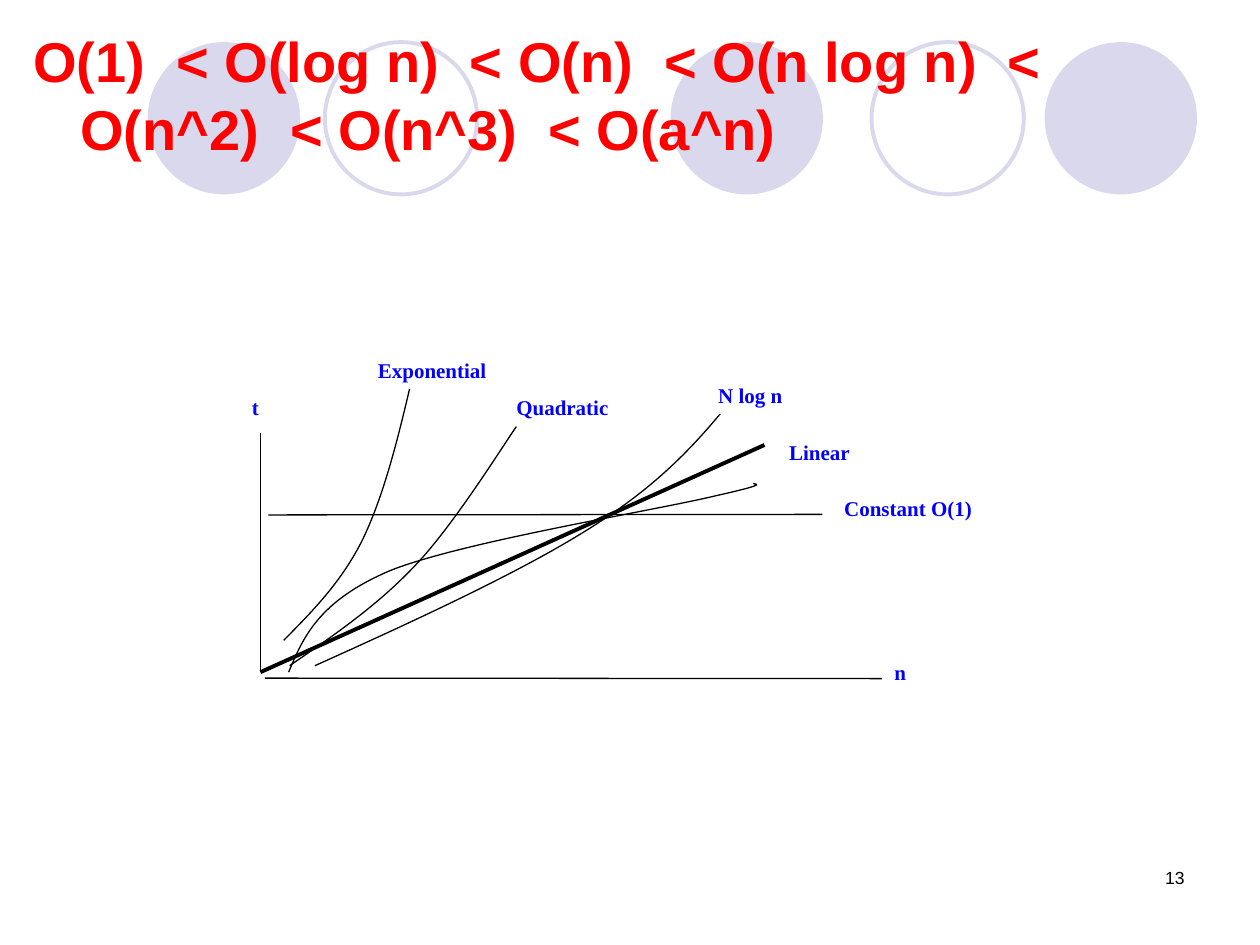
"""Build a slide comparing the growth rates of common complexity classes."""
from lxml.etree import SubElement
from pptx import Presentation
from pptx.dml.color import RGBColor
from pptx.enum.shapes import MSO_CONNECTOR as Connector, MSO_SHAPE as Shape
from pptx.enum.text import PP_ALIGN as Align
from pptx.oxml.ns import qn
from pptx.util import Cm, Pt

COLORS = {"circle": "D9D8EC", "title": "FF0000", "label": "0000FF",
          "ink": "000000", "paper": "FFFFFF"}


def color(name):
    return RGBColor.from_string(COLORS[name])


def add_text(page, text, place, font_name, size, ink, bold=False):
    box = page.shapes.add_textbox(*map(Cm, place))
    box.text_frame.word_wrap = True
    para = box.text_frame.paragraphs[0]
    para.text = text
    para.font.name = font_name
    para.font.size = Pt(size)
    para.font.bold = bold
    para.font.color.rgb = color(ink)
    return box, para


deck = Presentation()
deck.slide_width, deck.slide_height = Cm(25.4), Cm(19.05)
page = deck.slides.add_slide(deck.slide_layouts[6])

circles = [(13.52, True), (21.06, True), (2.98, True), (17.57, False), (6.55, False)]
for left, filled in circles:
    circle = page.shapes.add_shape(Shape.OVAL, Cm(left), Cm(0.85), Cm(3.07), Cm(3.07))
    circle.shadow.inherit = False
    if filled:
        circle.fill.solid()
        circle.fill.fore_color.rgb = color("circle")
        circle.line.fill.background()
    else:
        circle.fill.background()
        circle.line.color.rgb = color("circle")
        circle.line.width = Pt(2.25)

title_text = "O(1)  < O(log n)  < O(n)  < O(n log n)  <  O(n^2)  < O(n^3)  < O(a^n)"
title, para = add_text(page, title_text, (0.42, 0.42, 24.56, 17.98), "Arial", 32, "title", True)
para.space_before = Pt(8)
indent = para._p.get_or_add_pPr()
indent.set("marL", str(Cm(0.95)))
indent.set("indent", str(Cm(-0.95)))

lines = [
    (5.25, 8.72, 5.25, 13.55, 0.75),
    (5.25, 13.55, 15.41, 8.97, 2.25),
    (5.34, 13.67, 17.78, 13.68, 0.75),
    (16.58, 10.37, 5.41, 10.38, 0.75),
]
for *ends, width in lines:
    line = page.shapes.add_connector(Connector.STRAIGHT, *map(Cm, ends))
    line.line.color.rgb = color("ink")
    line.line.width = Pt(width)
    SubElement(line._element.spPr, qn("a:effectLst"))

curves = [
    [(5.84, 13.42), (6.73, 12.81), (7.62, 12.2), (8.38, 11.39),
     (9.14, 10.59), (10.08, 9.08), (10.41, 8.6)],
    [(6.35, 13.42), (8.46, 12.47), (10.54, 11.51), (11.94, 10.62),
     (13.34, 9.73), (14.05, 8.92), (14.73, 8.09)],
    [(5.82, 13.55), (6.12, 12.83), (6.43, 12.12), (7.85, 11.51),
     (9.3, 10.92), (13.23, 10.29), (14.45, 9.99),
     (15.7, 9.71), (15.09, 9.78), (15.21, 9.74)],
    [(5.72, 12.91), (6.3, 12.32), (6.88, 11.74), (7.31, 10.88),
     (7.72, 10.03), (8, 8.94), (8.26, 7.83)],
]
for points in curves:
    start, *controls = [(Cm(x), Cm(y)) for x, y in points]
    builder = page.shapes.build_freeform(*start)
    builder.add_line_segments(controls, close=False)
    curve = builder.convert_to_shape()
    curve.shadow.inherit = False
    curve.fill.background()
    curve.line.color.rgb = color("ink")
    curve.line.width = Pt(0.75)
    segments = list(curve._element.iter(qn("a:lnTo")))
    outline = segments[0].getparent()
    for first in range(0, len(segments), 3):
        bezier = SubElement(outline, qn("a:cubicBezTo"))
        for segment in segments[first:first + 3]:
            bezier.append(segment[0])
            outline.remove(segment)

labels = [
    ("Linear", 15.66, 8.73, 2.34),
    ("t", 4.83, 7.83, 0.76),
    ("n", 17.78, 13.18, 0.76),
    ("Exponential", 7.37, 7.08, 3.23),
    ("Quadratic", 10.16, 7.83, 2.54),
    ("N log n", 14.23, 7.59, 2.54),
    ("Constant O(1)", 16.77, 9.86, 3.99),
]
for text, left, top, width in labels:
    label, para = add_text(page, text, (left, top, width, 0.76),
                           "Times New Roman", 12, "label", True)
    label.fill.solid()
    label.fill.fore_color.rgb = color("paper")

number, para = add_text(page, "13", (18.21, 17.35, 5.92, 1.27), "Arial", 10, "ink")
para.alignment = Align.RIGHT

deck.save("out.pptx")
